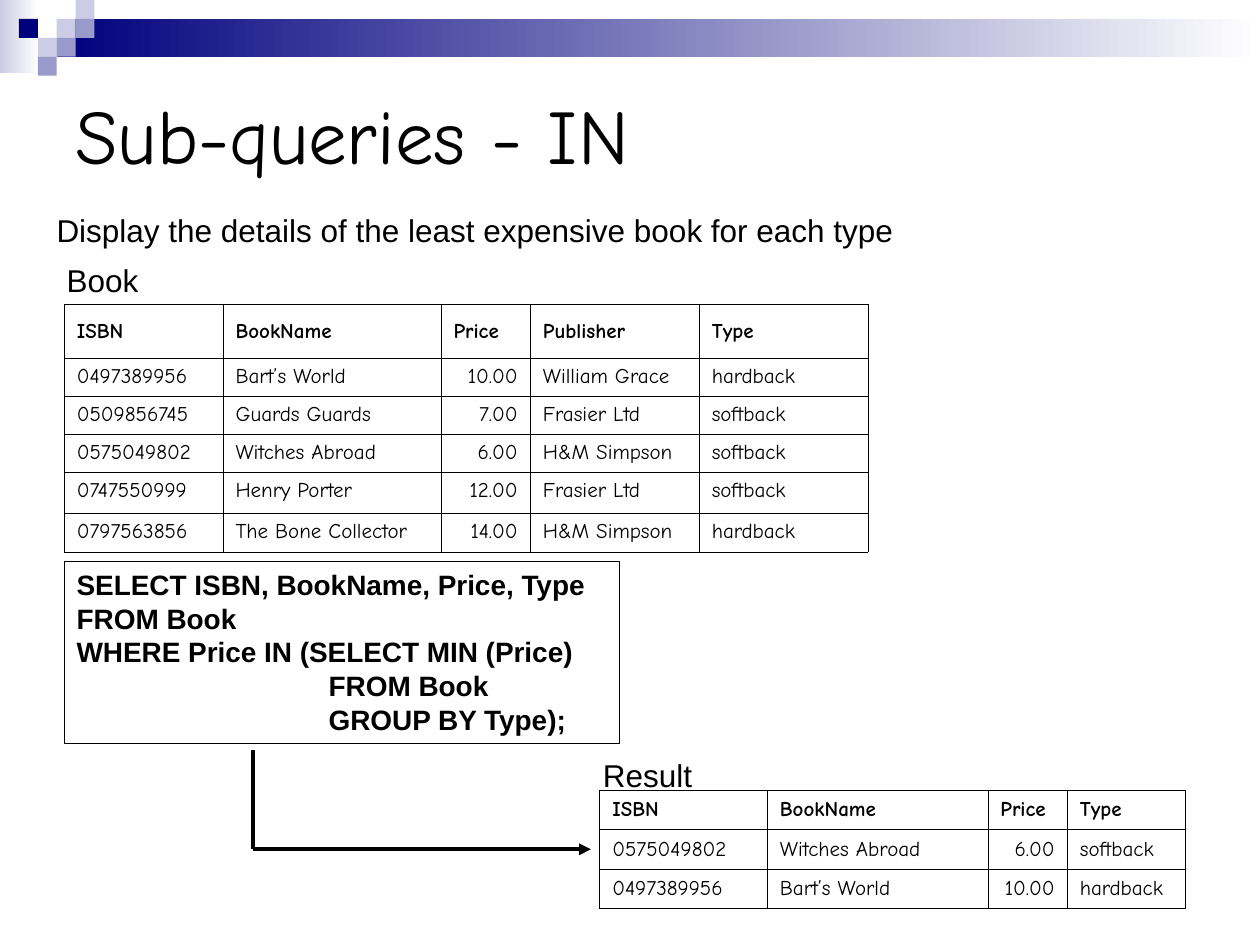
from dataclasses import dataclass

from lxml.etree import SubElement
from pptx import Presentation
from pptx.dml.color import RGBColor
from pptx.enum.shapes import MSO_CONNECTOR, MSO_SHAPE
from pptx.enum.text import MSO_ANCHOR, PP_ALIGN
from pptx.oxml import parse_xml
from pptx.oxml.ns import nsdecls, qn
from pptx.util import Pt

COLORS = {
    "black": "000000",
    "white": "FFFFFF",
    "navy": "00007D",
    "violet": "9999CC",
    "lavender": "CCCCE6",
}
BODY_FONT = "Arial"
TITLE_FONT = "Comic Neue"
SQUARE = 10.8


@dataclass
class Box:
    left: float
    top: float
    width: float
    height: float

    def lengths(self) -> tuple:
        return Pt(self.left), Pt(self.top), Pt(self.width), Pt(self.height)


@dataclass
class Label:
    text: str
    box: Box
    size: float = 18
    font: str = BODY_FONT
    anchor: MSO_ANCHOR = MSO_ANCHOR.TOP


@dataclass
class Grid:
    left: float
    top: float
    widths: list[float]
    heights: list[float]
    rows: list[list[str]]
    body_anchor: MSO_ANCHOR


GRADIENT_BARS = [
    (Box(0, 0, 22.3, 41.8), "lavender"),
    (Box(32.4, 10.8, 687.6, 21.6), "navy"),
]
# Column and row of each small square in the corner pattern
SQUARES = [
    (3, 1, "lavender"), (4, 0, "lavender"), (4, 1, "violet"), (2, 2, "lavender"),
    (1, 1, "navy"), (3, 2, "violet"), (2, 3, "violet"),
]
LABELS = [
    Label("Sub-queries - IN", Box(36, 36, 648, 80.6), 44, TITLE_FONT, MSO_ANCHOR.MIDDLE),
    Label("Display the details of the least expensive book for each type",
          Box(25.2, 116.8, 561, 28.8)),
    Label("Book", Box(31, 145.6, 209.5, 28.8)),
    Label("Result", Box(337.4, 428.6, 85, 28.8)),
]
QUERY_BOX = Box(36.7, 320.9, 317.5, 103.9)
# Each line with its indent
QUERY_LINES = [
    ("SELECT ISBN, BookName, Price, Type", 0),
    ("FROM Book", 0),
    ("WHERE Price IN (SELECT MIN (Price)", 0),
    ("FROM Book", 144),
    ("GROUP BY Type);", 144),
]
BOOK_GRID = Grid(
    36.7, 173.8, [90.7, 124.6, 51.1, 96.5, 96.5], [31, 21.7, 21.7, 21.7, 23.3, 22.3],
    [
        ["ISBN", "BookName", "Price", "Publisher", "Type"],
        ["0497389956", "Bart’s World", "10.00", "William Grace", "hardback"],
        ["0509856745", "Guards Guards", "7.00", "Frasier Ltd", "softback"],
        ["0575049802", "Witches Abroad", "6.00", "H&M Simpson", "softback"],
        ["0747550999", "Henry Porter", "12.00", "Frasier Ltd", "softback"],
        ["0797563856", "The Bone Collector", "14.00", "H&M Simpson", "hardback"],
    ],
    MSO_ANCHOR.TOP,
)
RESULT_GRID = Grid(
    342.7, 451.4, [95.8, 126, 45.4, 67.7], [22.6] * 3,
    [
        ["ISBN", "BookName", "Price", "Type"],
        ["0575049802", "Witches Abroad", "6.00", "softback"],
        ["0497389956", "Bart’s World", "10.00", "hardback"],
    ],
    MSO_ANCHOR.MIDDLE,
)


def color(name: str) -> RGBColor:
    return RGBColor.from_string(COLORS[name])


def set_font(paragraph, name: str, size: float, bold: bool = False) -> None:
    font = paragraph.font
    font.name, font.size, font.bold = name, Pt(size), bold
    font.color.rgb = color("black")


def add_rectangle(slide, box: Box):
    shape = slide.shapes.add_shape(MSO_SHAPE.RECTANGLE, *box.lengths())
    shape.shadow.inherit = False
    return shape


def add_gradient_bar(slide, box: Box, start: str) -> None:
    shape = add_rectangle(slide, box)
    shape.line.fill.background()
    shape.fill.gradient()
    shape.fill.gradient_angle = 0
    for stop, name in zip(shape.fill.gradient_stops, (start, "white")):
        stop.color.rgb = color(name)


def add_square(slide, column: int, row: int, name: str) -> None:
    shape = add_rectangle(slide, Box(column * SQUARE, row * SQUARE, SQUARE, SQUARE))
    shape.line.fill.background()
    shape.fill.solid()
    shape.fill.fore_color.rgb = color(name)


def add_label(slide, label: Label) -> None:
    frame = slide.shapes.add_textbox(*label.box.lengths()).text_frame
    frame.word_wrap = True
    frame.vertical_anchor = label.anchor
    paragraph = frame.paragraphs[0]
    paragraph.text = label.text
    set_font(paragraph, label.font, label.size)


def add_query(slide) -> None:
    shape = add_rectangle(slide, QUERY_BOX)
    shape.fill.background()
    shape.line.color.rgb = color("black")
    shape.line.width = Pt(0.75)
    frame = shape.text_frame
    frame.word_wrap = True
    frame.vertical_anchor = MSO_ANCHOR.TOP
    for index, (text, indent) in enumerate(QUERY_LINES):
        paragraph = frame.add_paragraph() if index else frame.paragraphs[0]
        paragraph.text = text
        paragraph.alignment = PP_ALIGN.LEFT
        paragraph._p.get_or_add_pPr().set("marL", str(Pt(indent)))
        set_font(paragraph, BODY_FONT, 16, bold=True)


def add_borders(cell) -> None:
    properties = cell._tc.get_or_add_tcPr()
    for index, side in enumerate(("lnL", "lnR", "lnT", "lnB")):
        properties.insert(index, parse_xml(
            f'<a:{side} {nsdecls("a")} w="{Pt(0.34)}"><a:solidFill>'
            f'<a:srgbClr val="{COLORS["black"]}"/></a:solidFill></a:{side}>'))


def add_grid(slide, grid: Grid) -> None:
    box = Box(grid.left, grid.top, sum(grid.widths), sum(grid.heights))
    table = slide.shapes.add_table(
        len(grid.heights), len(grid.widths), *box.lengths()).table
    for column, width in zip(table.columns, grid.widths):
        column.width = Pt(width)
    for row_index, (row, height) in enumerate(zip(table.rows, grid.heights)):
        row.height = Pt(height)
        header = row_index == 0
        for cell, text, heading in zip(row.cells, grid.rows[row_index], grid.rows[0]):
            cell.text = text
            cell.vertical_anchor = MSO_ANCHOR.MIDDLE if header else grid.body_anchor
            if header:
                cell.fill.background()
            else:
                cell.fill.solid()
                cell.fill.fore_color.rgb = color("white")
            paragraph = cell.text_frame.paragraphs[0]
            if heading == "Price" and not header:
                paragraph.alignment = PP_ALIGN.RIGHT
            set_font(paragraph, TITLE_FONT, 12, bold=header)
            add_borders(cell)


def add_line(slide, start: tuple[float, float], end: tuple[float, float],
             arrow: bool = False) -> None:
    points = [Pt(value) for value in (*start, *end)]
    connector = slide.shapes.add_connector(MSO_CONNECTOR.STRAIGHT, *points)
    connector.line.color.rgb = color("black")
    connector.line.width = Pt(2.25)
    if arrow:
        SubElement(connector.line._get_or_add_ln(), qn("a:tailEnd"), type="triangle")
    SubElement(connector._element.spPr, qn("a:effectLst"))


def main() -> None:
    presentation = Presentation()
    presentation.slide_width, presentation.slide_height = Pt(720), Pt(540)
    slide = presentation.slides.add_slide(presentation.slide_layouts[6])
    for bar in GRADIENT_BARS:
        add_gradient_bar(slide, *bar)
    for square in SQUARES:
        add_square(slide, *square)
    for label in LABELS:
        add_label(slide, label)
    add_query(slide)
    for grid in (BOOK_GRID, RESULT_GRID):
        add_grid(slide, grid)
    corner = (144.7, 485.3)
    add_line(slide, corner, (337.7, 485.3), arrow=True)
    add_line(slide, corner, (144.7, 428.4))
    presentation.save("out.pptx")


if __name__ == "__main__":
    main()
